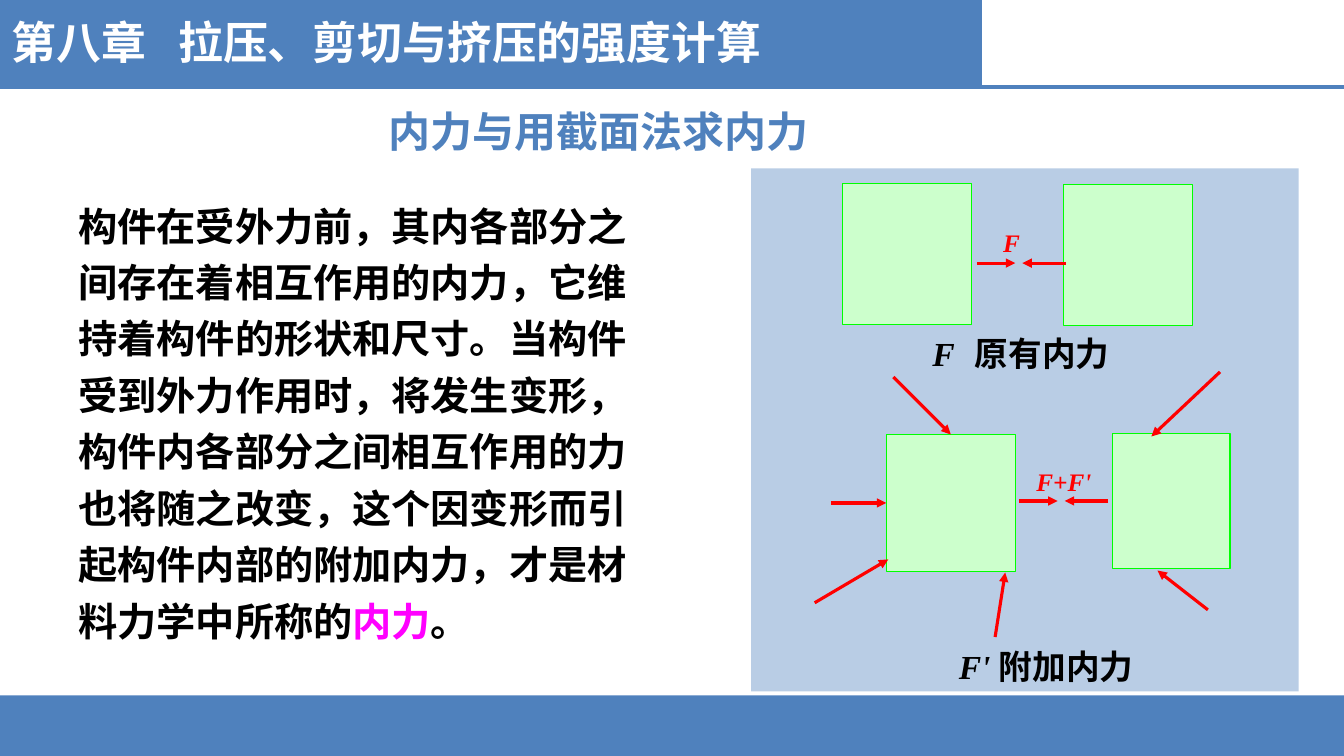
"""Build the slide on internal forces and the method of sections."""
from lxml.etree import SubElement
from pptx import Presentation
from pptx.dml.color import RGBColor
from pptx.enum.shapes import MSO_CONNECTOR as CONNECTOR, MSO_SHAPE as SHAPE
from pptx.enum.text import MSO_ANCHOR as ANCHOR, PP_ALIGN as ALIGN
from pptx.oxml.ns import qn
from pptx.util import Inches, Pt

SANS, SERIF = "Noto Sans CJK SC", "Times New Roman"
BLUE, PALE, GREEN, LIME = "4F81BD", "B9CDE5", "CCFFCC", "00FF00"
RED, BLACK, WHITE, PINK = "FF0000", "000000", "FFFFFF", "FF00FF"

BLOCKS = [
    ((0, 6.9, 13.33, 0.6), BLUE),
    ((0, 0, 9.74, 0.86), BLUE),
    ((7.45, 1.67, 5.43, 5.19), PALE),
]
SQUARES = {
    "upper left": (8.36, 1.82, 1.28, 1.4),
    "upper right": (10.55, 1.83, 1.28, 1.4),
    "lower left": (8.79, 4.31, 1.28, 1.36),
    "lower right": (11.03, 4.3, 1.17, 1.34),
}
ARROWS = [
    ((9.69, 2.61), (10.07, 2.61)),
    ((10.57, 2.61), (10.14, 2.61)),
    ((10.11, 4.97), (10.49, 4.97)),
    ((10.99, 4.97), (10.56, 4.97)),
    ((12.1, 3.69), (11.42, 4.33)),
    ((11.98, 6.05), (11.48, 5.66)),
    ((8.08, 5.98), (8.81, 5.55)),
    ((9.87, 6.32), (9.97, 5.68)),
]
JOINED_ARROWS = [
    ((8.86, 3.74), "lower left", 0),
    ((8.24, 4.99), "lower left", 1),
]
TEXTS = [
    {"at": (0.02, 0.1, 7.78, 0.64), "size": 32, "tab": 1.65,
     "runs": [("第八章\t拉压、剪切与挤压的强度计算", SANS, WHITE, False)]},
    {"at": (3.76, 0.9, 4.53, 0.71), "size": 30, "spacing": 1.2,
     "runs": [("内力与用截面法求内力", SANS, BLUE, False)]},
    {"at": (0.68, 1.86, 5.98, 4.62), "size": 28, "spacing": 1.2,
     "runs": [("构件在受外力前，其内各部分之间存在着相互作用的内力，它维持着构件的形状和尺寸。"
               "当构件受到外力作用时，将发生变形，构件内各部分之间相互作用的力也将随之改变，"
               "这个因变形而引起构件内部的附加内力，才是材料力学中所称的", SERIF, BLACK, False),
              ("内力", SERIF, PINK, False), ("。", SERIF, BLACK, False)]},
    {"at": (9.94, 2.24, 0.32, 0.35), "size": 18, "inset": 0.01, "align": ALIGN.JUSTIFY,
     "runs": [("F", SERIF, RED, True)]},
    {"at": (10.27, 4.62, 0.6, 0.27), "size": 18, "inset": 0.01, "align": ALIGN.JUSTIFY,
     "runs": [("F+F'", SERIF, RED, True)]},
    {"at": (9.15, 3.3, 2, 0.46), "size": 24, "spacing": 0.9, "tab": 0.42,
     "anchor": ANCHOR.MIDDLE,
     "runs": [("F\t", SERIF, BLACK, True), ("原有内力", SANS, BLACK, False)]},
    {"at": (8.92, 6.36, 2.91, 0.5), "size": 24, "align": ALIGN.CENTER,
     "runs": [("F' ", SERIF, BLACK, True), ("附加内力", SANS, BLACK, False)]},
]


def paint(color_format, color):
    color_format.rgb = RGBColor.from_string(color)


def add_block(slide, at, fill, outline=None):
    block = slide.shapes.add_shape(SHAPE.RECTANGLE, *map(Inches, at))
    block.shadow.inherit = False
    block.fill.solid()
    paint(block.fill.fore_color, fill)
    if outline:
        paint(block.line.color, outline)
        block.line.width = Pt(0.75)
    else:
        block.line.fill.background()
    return block


def add_line(slide, start, end, color, width, arrow=False):
    line = slide.shapes.add_connector(CONNECTOR.STRAIGHT, *map(Inches, start + end))
    paint(line.line.color, color)
    line.line.width = Pt(width)
    if arrow:
        SubElement(line.line._get_or_add_ln(), qn("a:tailEnd"), type="triangle")
    SubElement(line._element.spPr, qn("a:effectLst"))
    return line


def add_text(slide, at, size, runs, spacing=None, tab=None, inset=None,
             align=ALIGN.LEFT, anchor=ANCHOR.TOP):
    frame = slide.shapes.add_textbox(*map(Inches, at)).text_frame
    frame.word_wrap = True
    frame.vertical_anchor = anchor
    if inset is not None:
        frame.margin_left = frame.margin_right = Inches(inset)
        frame.margin_top = frame.margin_bottom = Inches(inset)
    paragraph = frame.paragraphs[0]
    paragraph.alignment = align
    if spacing:
        paragraph.line_spacing = spacing
    if tab:
        tabs = SubElement(paragraph._p.get_or_add_pPr(), qn("a:tabLst"))
        SubElement(tabs, qn("a:tab"), pos=str(Inches(tab)), algn="l")
    paragraph.font.size = Pt(size)
    paragraph.font.bold = True
    for words, face, color, italic in runs:
        run = paragraph.add_run()
        run.text = words
        run.font.name = face
        run.font.italic = italic
        paint(run.font.color, color)
        SubElement(run._r.get_or_add_rPr(), qn("a:ea"), typeface=SANS)


def main():
    deck = Presentation()
    deck.slide_width, deck.slide_height = Inches(13.33), Inches(7.5)
    slide = deck.slides.add_slide(deck.slide_layouts[6])
    for at, fill in BLOCKS:
        add_block(slide, at, fill)
    add_line(slide, (0, 0.86), (13.33, 0.86), BLUE, 3)
    squares = {place: add_block(slide, at, GREEN, LIME) for place, at in SQUARES.items()}
    for start, end in ARROWS:
        add_line(slide, start, end, RED, 2.25, arrow=True)
    for start, place, side in JOINED_ARROWS:
        force = add_line(slide, start, start, RED, 2.25, arrow=True)
        force.end_connect(squares[place], side)
    for text in TEXTS:
        add_text(slide, **text)
    deck.save("out.pptx")


if __name__ == "__main__":
    main()
